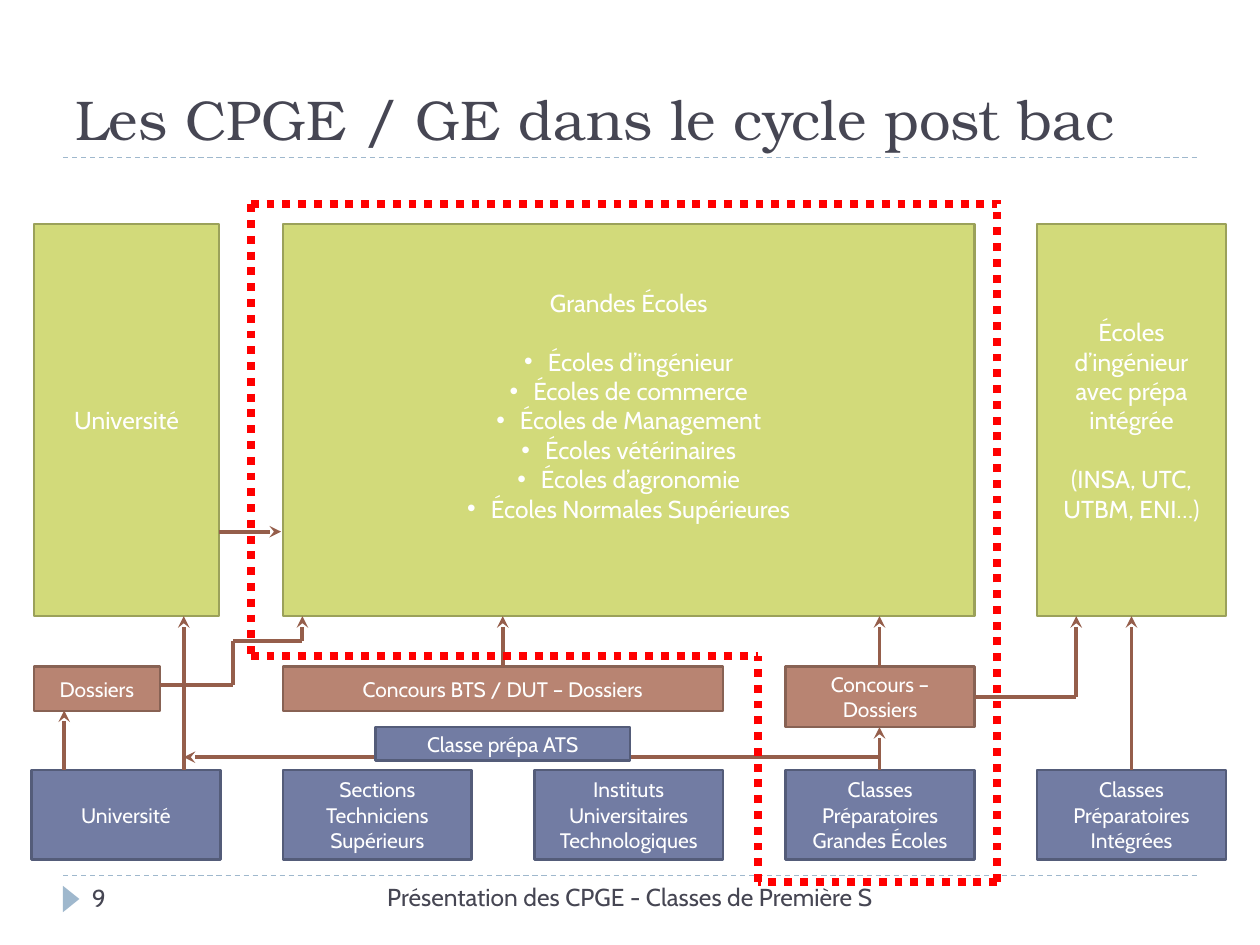
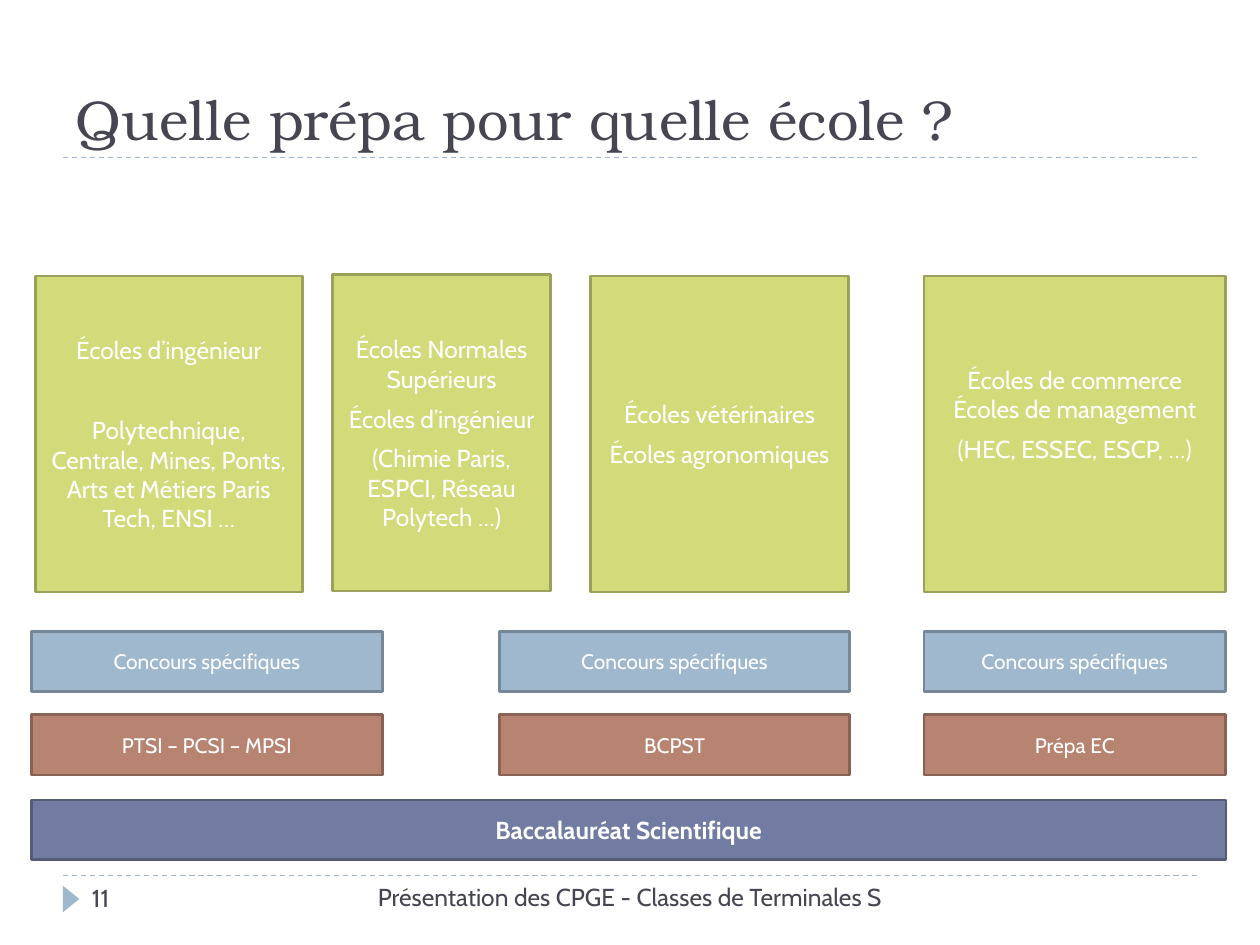
from dataclasses import dataclass

from lxml.etree import SubElement
from pptx import Presentation
from pptx.dml.color import RGBColor
from pptx.enum.dml import MSO_LINE
from pptx.enum.shapes import MSO_CONNECTOR, MSO_SHAPE
from pptx.enum.text import MSO_ANCHOR, PP_ALIGN
from pptx.oxml.ns import qn
from pptx.util import Pt


@dataclass(frozen=True)
class Theme:
    ink: str = "464653"
    white: str = "FFFFFF"
    rule: str = "9FB8CD"
    arrow: str = "955E4B"
    frame: str = "FF0000"
    school: tuple = ("D2DA7A", "9BA15A")
    course: tuple = ("727CA3", "545C79")
    entry: tuple = ("B88472", "886254")
    contest: tuple = ("9FB8CD", "768898")
    heading_font: str = "TeX Gyre Bonum"
    body_font: str = "Cabin"
    title_size: float = 32
    large: float = 14
    small: float = 12
    line_height: float = 16.8
    inset: float = 3.6


THEME = Theme()


def rgb(value):
    return RGBColor.from_string(value)


def add_bullet(para):
    properties = para._p.get_or_add_pPr()
    properties.set("marL", str(Pt(13.5)))
    properties.set("indent", str(-Pt(13.5)))
    SubElement(properties, qn("a:buFont"), typeface="Arial")
    SubElement(properties, qn("a:buChar"), char="•")


def write(box, *lines, size=THEME.large, color=THEME.white, font=THEME.body_font,
          bold=False, align=PP_ALIGN.CENTER, anchor=MSO_ANCHOR.MIDDLE,
          gap=0, gaps=None, bullets=(), room_below=0):
    frame = box.text_frame
    frame.word_wrap = True
    frame.vertical_anchor = anchor
    frame.margin_bottom = Pt(THEME.inset + room_below)
    for index, line in enumerate(lines):
        para = frame.paragraphs[0] if index == 0 else frame.add_paragraph()
        para.alignment = align
        para.space_before = Pt((gaps or {}).get(index, gap))
        if index in bullets:
            add_bullet(para)
        span = para.add_run()
        span.text = line
        span.font.name = font
        span.font.size = Pt(size)
        span.font.bold = bold
        span.font.color.rgb = rgb(color)


def add_label(page, bounds, text, **style):
    write(page.shapes.add_textbox(*map(Pt, bounds)), text, color=THEME.ink, **style)


def add_block(page, bounds, colors, *lines, **style):
    box = page.shapes.add_shape(MSO_SHAPE.RECTANGLE, *map(Pt, bounds))
    box.shadow.inherit = False
    fill, edge = colors
    box.fill.solid()
    box.fill.fore_color.rgb = rgb(fill)
    box.line.color.rgb = rgb(edge)
    box.line.width = Pt(1.5)
    write(box, *lines, **style)


def add_segment(page, start, end, color, width, dash=None, arrow=False):
    line = page.shapes.add_connector(MSO_CONNECTOR.STRAIGHT, *map(Pt, start + end))
    line.line.color.rgb = rgb(color)
    line.line.width = Pt(width)
    if dash:
        line.line.dash_style = dash
    properties = line._element.spPr
    if arrow:
        SubElement(properties.find(qn("a:ln")), qn("a:tailEnd"), type="stealth")
    SubElement(properties, qn("a:effectLst"))


def add_arrow(page, *points):
    for start, end in zip(points, points[1:]):
        add_segment(page, start, end, THEME.arrow, 2.25, arrow=end == points[-1])


def add_dotted_route(page, *points):
    for start, end in zip(points, points[1:]):
        add_segment(page, start, end, THEME.frame, 4.5, MSO_LINE.ROUND_DOT)


def add_page(deck, title):
    page = deck.slides.add_slide(deck.slide_layouts[6])
    for y in (500.4, 90):
        add_segment(page, (36, y), (684, y), THEME.rule, 0.75, MSO_LINE.DASH)
    marker = page.shapes.add_shape(MSO_SHAPE.ISOSCELES_TRIANGLE,
                                   *map(Pt, (33.1, 509, 15.1, 9.4)))
    marker.rotation = 90
    marker.shadow.inherit = False
    marker.fill.solid()
    marker.fill.fore_color.rgb = rgb(THEME.rule)
    marker.line.fill.background()
    add_label(page, (36, 12.2, 648, 77.8), title, size=THEME.title_size,
              font=THEME.heading_font, align=PP_ALIGN.LEFT, anchor=MSO_ANCHOR.BOTTOM)
    return page


def add_footer(page, text, number):
    add_label(page, (190, 500.4, 340, 29), text, anchor=MSO_ANCHOR.TOP)
    add_label(page, (45.4, 501.1, 156, 29), number,
              align=PP_ALIGN.LEFT, anchor=MSO_ANCHOR.TOP)


def build_cycle_page(deck):
    page = add_page(deck, "Les CPGE / GE dans le cycle post bac")
    columns = [18 + 143.65 * index for index in range(5)]
    width = 108
    school_top, school_height = 128.1, 224
    school_bottom = school_top + school_height
    entry_top, course_top = 380.9, 440

    courses = ("Université", "Sections Techniciens Supérieurs",
               "Instituts Universitaires Technologiques",
               "Classes Préparatoires Grandes Écoles",
               "Classes Préparatoires Intégrées")
    for left, name in zip(columns, courses):
        add_block(page, (left, course_top, width, 51.2), THEME.course, name,
                  size=THEME.small)

    entries = ((19.4, 72, 25.4, "Dossiers"),
               (columns[1], 251.5, 25.4, "Concours BTS / DUT – Dossiers"),
               (columns[3], width, 34.6, "Concours – Dossiers"))
    for left, entry_width, height, name in entries:
        add_block(page, (left, entry_top, entry_width, height), THEME.entry, name,
                  size=THEME.small)

    add_block(page, (19.4, school_top, 105.9, school_height), THEME.school, "Université")
    add_block(page, (columns[1], school_top, 395.3, school_height), THEME.school,
              "Grandes Écoles", "Écoles d’ingénieur", "Écoles de commerce",
              "Écoles de Management", "Écoles vétérinaires", "Écoles d’agronomie",
              "Écoles Normales Supérieures", gaps={1: THEME.line_height},
              bullets=range(1, 7), room_below=THEME.line_height)
    add_block(page, (columns[4], school_top, width, school_height), THEME.school,
              "Écoles d’ingénieur avec prépa intégrée", "(INSA, UTC, UTBM, ENI…)",
              gaps={1: THEME.line_height})

    climbs = ((36.7, course_top, 406), (105, course_top, school_bottom),
              (287.3, entry_top, school_bottom), (502.6, course_top, 415.5),
              (502.6, entry_top, school_bottom), (646.6, course_top, school_bottom))
    for x, bottom, top in climbs:
        add_arrow(page, (x, bottom), (x, top))
    add_arrow(page, (125.3, 303.8), (160.6, 303.8))
    add_arrow(page, (502.6, 432.7), (105, 432.7))
    add_arrow(page, (556.9, 398.2), (615, 398.2), (615, school_bottom))
    add_arrow(page, (91.4, 391.3), (133.2, 391.3), (133.2, 366.5),
              (172.8, 366.5), (172.8, school_bottom))
    add_block(page, (214.6, 415.4, 145.4, 19.4), THEME.course, "Classe prépa ATS",
              size=THEME.small)

    top_left, top_right = (143.3, 116.8), (569.8, 116.8)
    notch, bottom_right = (433.4, 375), (569.8, 504)
    add_dotted_route(page, top_left, (143.3, 375), notch)
    add_dotted_route(page, top_left, top_right)
    add_dotted_route(page, bottom_right, (433.4, 504), notch)
    add_dotted_route(page, bottom_right, (569.8, 114.5))
    add_footer(page, "Présentation des CPGE - Classes de Première S", "9")


def build_school_page(deck):
    page = add_page(deck, "Quelle prépa pour quelle école ?")
    blank_line = THEME.line_height + 6
    schools = (
        (20.2, 157.7, 152.6,
         ("Écoles d’ingénieur",
          "Polytechnique, Centrale, Mines, Ponts, Arts et Métiers Paris Tech, ENSI …"),
         {"gaps": {1: blank_line + 6}}),
        (190.1, 157, 124.6,
         ("Écoles Normales Supérieurs", "Écoles d’ingénieur",
          "(Chimie Paris, ESPCI, Réseau Polytech …)"), {}),
        (337.4, 157.7, 147.6, ("Écoles vétérinaires", "Écoles agronomiques"), {}),
        (528, 157.7, 172.4,
         ("Écoles de commerce Écoles de management", "(HEC, ESSEC, ESCP, …)"),
         {"room_below": blank_line}),
    )
    for left, top, width, lines, style in schools:
        add_block(page, (left, top, width, 180.7), THEME.school, *lines, gap=6, **style)

    tracks = ((18, 200.5, "PTSI – PCSI – MPSI"), (285.5, 200, "BCPST"),
              (528, 172.4, "Prépa EC"))
    for left, width, name in tracks:
        for top, colors, text in ((360.7, THEME.contest, "Concours spécifiques"),
                                  (408.2, THEME.entry, name)):
            add_block(page, (left, top, width, 34.6), colors, text, size=THEME.small)
    add_block(page, (18, 457.2, 682.6, 34), THEME.course, "Baccalauréat Scientifique",
              bold=True)
    add_footer(page, "Présentation des CPGE - Classes de Terminales S", "11")


def main():
    deck = Presentation()
    deck.slide_width, deck.slide_height = Pt(720), Pt(540)
    build_cycle_page(deck)
    build_school_page(deck)
    deck.save("out.pptx")


if __name__ == "__main__":
    main()
